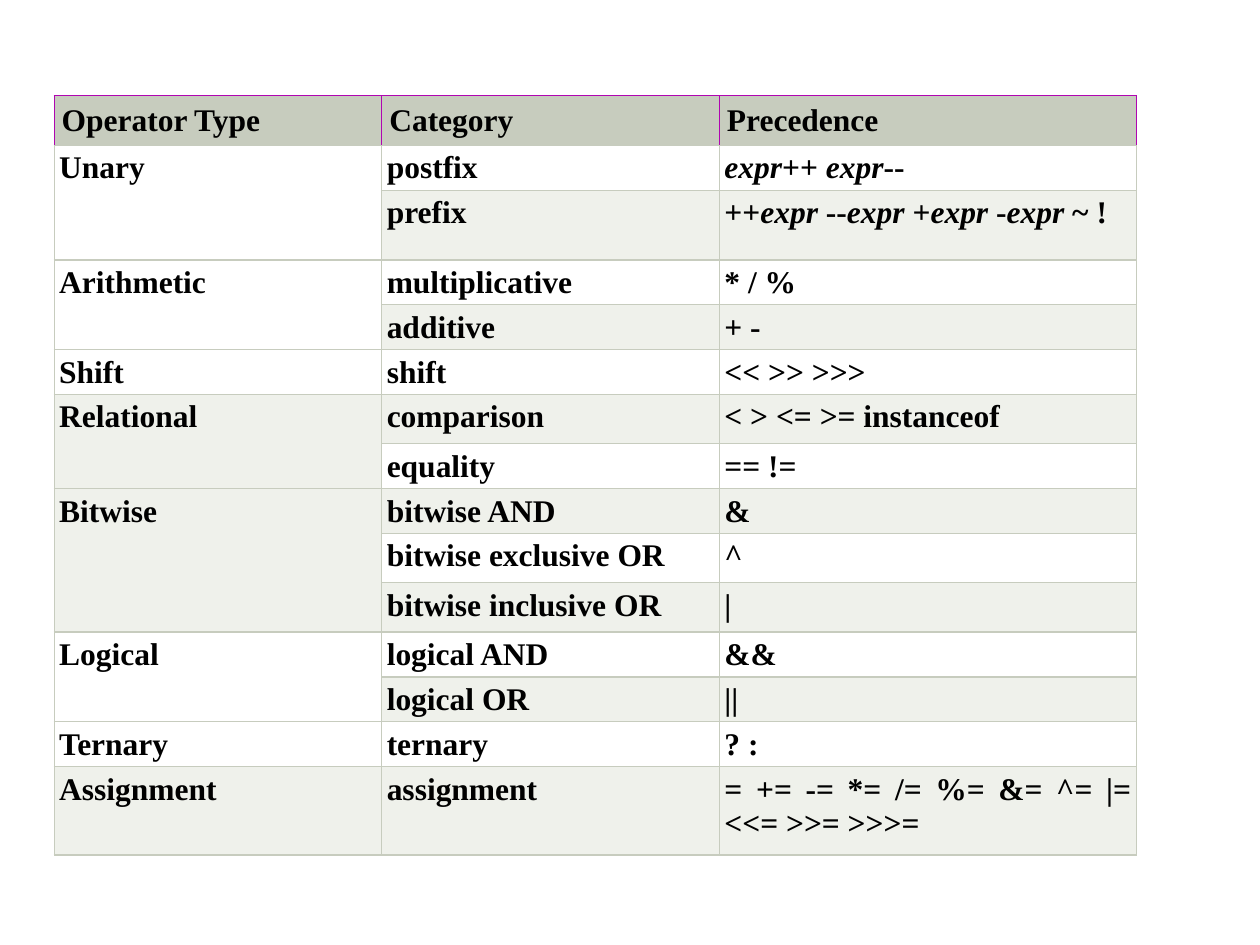
"""Build a slide with a table of operator precedence."""
from dataclasses import dataclass
from itertools import accumulate

from lxml.etree import SubElement
from pptx import Presentation
from pptx.dml.color import RGBColor
from pptx.enum.text import PP_ALIGN
from pptx.oxml.ns import qn
from pptx.table import Table, _Cell
from pptx.util import Inches, Pt


@dataclass(frozen=True)
class Theme:
    font: str = "Times New Roman"
    size: int = 18
    ink: str = "000000"
    head: str = "C7CCBE"
    line: str = "C7CCBE"
    edge: str = "B005B1"
    plain: str = "FFFFFF"
    tint: str = "EFF1EB"
    width: float = 0.75


@dataclass(frozen=True)
class Group:
    name: str
    rows: tuple[tuple[str, str, float], ...]


THEME = Theme()
HEADS = ("Operator Type", "Category", "Precedence")
WIDTHS = (2.6, 2.68, 3.31)
HEAD_H = 0.39
GROUPS = (
    Group("Unary", (
        ("postfix", "expr++\u00a0expr--", 0.35),
        ("prefix", "++expr\u00a0--expr\u00a0+expr\u00a0-expr\u00a0~ !", 0.55))),
    Group("Arithmetic", (
        ("multiplicative", "* / %", 0.35),
        ("additive", "+ -", 0.35))),
    Group("Shift", (("shift", "<< >> >>>", 0.35),)),
    Group("Relational", (
        ("comparison", "< > <= >= instanceof", 0.39),
        ("equality", "== !=", 0.35))),
    Group("Bitwise", (
        ("bitwise AND", "&", 0.35),
        ("bitwise exclusive OR", "^", 0.39),
        ("bitwise inclusive OR", "|", 0.39))),
    Group("Logical", (
        ("logical AND", "&&", 0.35),
        ("logical OR", "||", 0.35))),
    Group("Ternary", (("ternary", "? :", 0.35),)),
    Group("Assignment", (
        ("assignment", "= += -= *= /= %= &= ^= |= <<= >>= >>>=", 0.7),)),
)


def add_edges(cell: _Cell, head: bool) -> None:
    props = cell._tc.get_or_add_tcPr()
    for spot, side in enumerate("LRTB"):
        line = SubElement(props, qn(f"a:ln{side}"), w=str(Pt(THEME.width)))
        fill = SubElement(line, qn("a:solidFill"))
        tone = THEME.edge if head and side != "B" else THEME.line
        SubElement(fill, qn("a:srgbClr"), val=tone)
        props.insert(spot, line)


def add_text(cell: _Cell, text: str, head: bool) -> None:
    para = cell.text_frame.paragraphs[0]
    if not head:
        para.alignment = PP_ALIGN.JUSTIFY
    for part in text.replace("expr", "\texpr\t").split("\t"):
        if part:
            run = para.add_run()
            run.text = part
            font = run.font
            font.name, font.size = THEME.font, Pt(THEME.size)
            font.bold, font.italic = True, part == "expr"
            font.color.rgb = RGBColor.from_string(THEME.ink)


def style_cell(cell: _Cell, tone: str, head: bool) -> None:
    pad = Inches(0.06 if head else 0.04)
    cell.margin_left = cell.margin_right = pad
    cell.margin_top = cell.margin_bottom = pad
    cell.fill.solid()
    cell.fill.fore_color.rgb = RGBColor.from_string(tone)
    add_edges(cell, head)


def fill_table(table: Table, lines: list[tuple[str, str, str]]) -> None:
    for row, texts in enumerate(lines):
        head = row == 0
        tone = THEME.head if head else (THEME.tint, THEME.plain)[row % 2]
        for col, text in enumerate(texts):
            cell = table.cell(row, col)
            style_cell(cell, tone, head)
            add_text(cell, text, head)


def join_groups(table: Table) -> None:
    ends = accumulate(len(group.rows) for group in GROUPS)
    for group, end in zip(GROUPS, ends):
        first = end - len(group.rows) + 1
        if first < end:
            table.cell(first, 0).merge(table.cell(end, 0))


def main() -> None:
    deck = Presentation()
    deck.slide_width, deck.slide_height = Inches(10), Inches(7.5)
    slide = deck.slides.add_slide(deck.slide_layouts[6])
    lines = [HEADS]
    sizes = [HEAD_H]
    for group in GROUPS:
        for place, (kind, signs, height) in enumerate(group.rows):
            lines.append((group.name if place == 0 else "", kind, signs))
            sizes.append(height)
    frame = slide.shapes.add_table(
        len(lines), len(HEADS), Inches(0.43), Inches(0.76),
        Inches(sum(WIDTHS)), Inches(sum(sizes)))
    table = frame.table
    table.first_row = table.horz_banding = False
    for column, width in zip(table.columns, WIDTHS):
        column.width = Inches(width)
    for row, height in zip(table.rows, sizes):
        row.height = Inches(height)
    fill_table(table, lines)
    join_groups(table)
    deck.save("out.pptx")


main()
